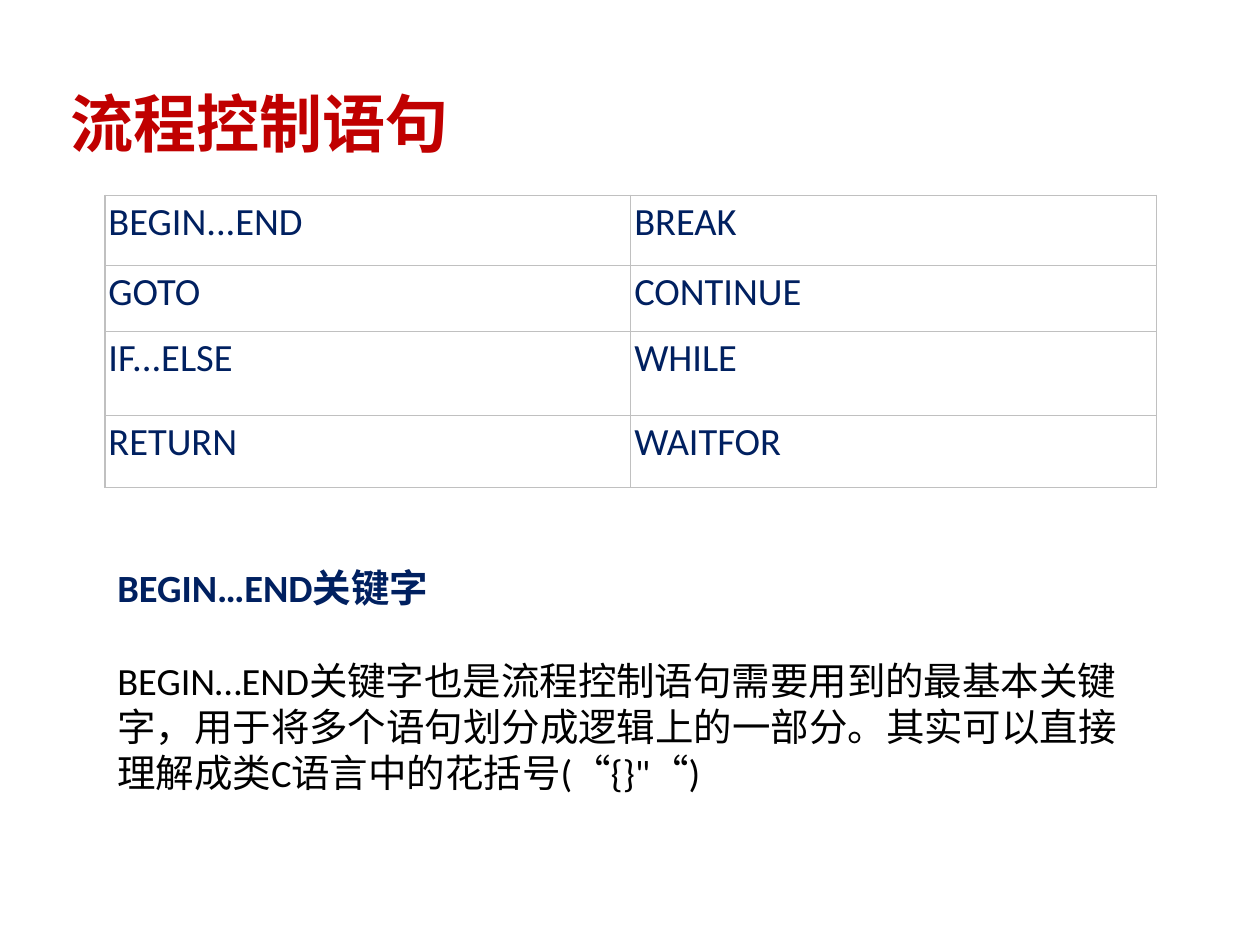
from lxml import etree
from pptx import Presentation
from pptx.dml.color import RGBColor
from pptx.enum import text
from pptx.oxml import ns
from pptx.util import Pt

RED = RGBColor(0xC0, 0x00, 0x00)
NAVY = RGBColor(0x00, 0x20, 0x60)
BLACK = RGBColor(0x00, 0x00, 0x00)
WHITE = RGBColor(0xFF, 0xFF, 0xFF)
GREY = RGBColor(0xC0, 0xC0, 0xC0)
HAN = "Noto Sans CJK SC"


def style(par, size, color, bold=False, name="Calibri"):
    font = par.font
    font.size, font.bold, font.name = Pt(size), bold, name
    font.color.rgb = color
    par.alignment = text.PP_ALIGN.LEFT
    # East Asian face follows the Latin one
    latin = par._p.pPr.find(ns.qn("a:defRPr")).find(ns.qn("a:latin"))
    east = etree.Element(ns.qn("a:ea"), typeface=HAN)
    latin.addnext(east)


def border(cell):
    props = cell._tc.get_or_add_tcPr()
    for spot, side in enumerate(("lnL", "lnR", "lnT", "lnB")):
        line = etree.Element(ns.qn("a:" + side), w=str(Pt(0.75)))
        fill = etree.SubElement(line, ns.qn("a:solidFill"))
        etree.SubElement(fill, ns.qn("a:srgbClr"), val=str(GREY))
        props.insert(spot, line)


deck = Presentation()
deck.slide_width, deck.slide_height = Pt(720), Pt(540)
slide = deck.slides.add_slide(deck.slide_layouts[5])

# Title
title = slide.shapes.title
title.left, title.top, title.width, title.height = Pt(33), Pt(43), Pt(648), Pt(54)
frame = title.text_frame
frame.text = "流程控制语句"
frame.vertical_anchor = text.MSO_ANCHOR.MIDDLE
style(frame.paragraphs[0], 36, RED, True, HAN)

# Table of keywords
words = [
    ("BEGIN...END", "BREAK"),
    ("GOTO", "CONTINUE"),
    ("IF...ELSE", "WHILE"),
    ("RETURN", "WAITFOR"),
]
highs = (40, 38, 48, 41)
table = slide.shapes.add_table(4, 2, Pt(60), Pt(111.5), Pt(601), Pt(sum(highs))).table
table.first_row = table.horz_banding = False
for col in table.columns:
    col.width = Pt(300.5)
for row, high, pair in zip(table.rows, highs, words):
    row.height = Pt(high)
    for cell, word in zip(row.cells, pair):
        cell.text = word
        cell.margin_left = cell.margin_right = Pt(2)
        cell.margin_top = cell.margin_bottom = Pt(2)
        cell.fill.solid()
        cell.fill.fore_color.rgb = WHITE
        border(cell)
        style(cell.text_frame.paragraphs[0], 22, NAVY)

# Explanation, set one line below the top of its box
box = slide.shapes.add_textbox(Pt(60), Pt(292.5), Pt(595.5), Pt(167))
frame = box.text_frame
frame.word_wrap = True
frame.margin_top = Pt(30)
head = frame.paragraphs[0]
head.text = "BEGIN…END关键字"
style(head, 22, NAVY, True)
body = frame.add_paragraph()
body.text = (
    "BEGIN…END关键字也是流程控制语句需要用到的最基本关键字，"
    "用于将多个语句划分成逻辑上的一部分。"
    "其实可以直接理解成类C语言中的花括号(“{}\"“)"
)
body.space_before = Pt(26.5)
style(body, 22, BLACK)

deck.save("out.pptx")
